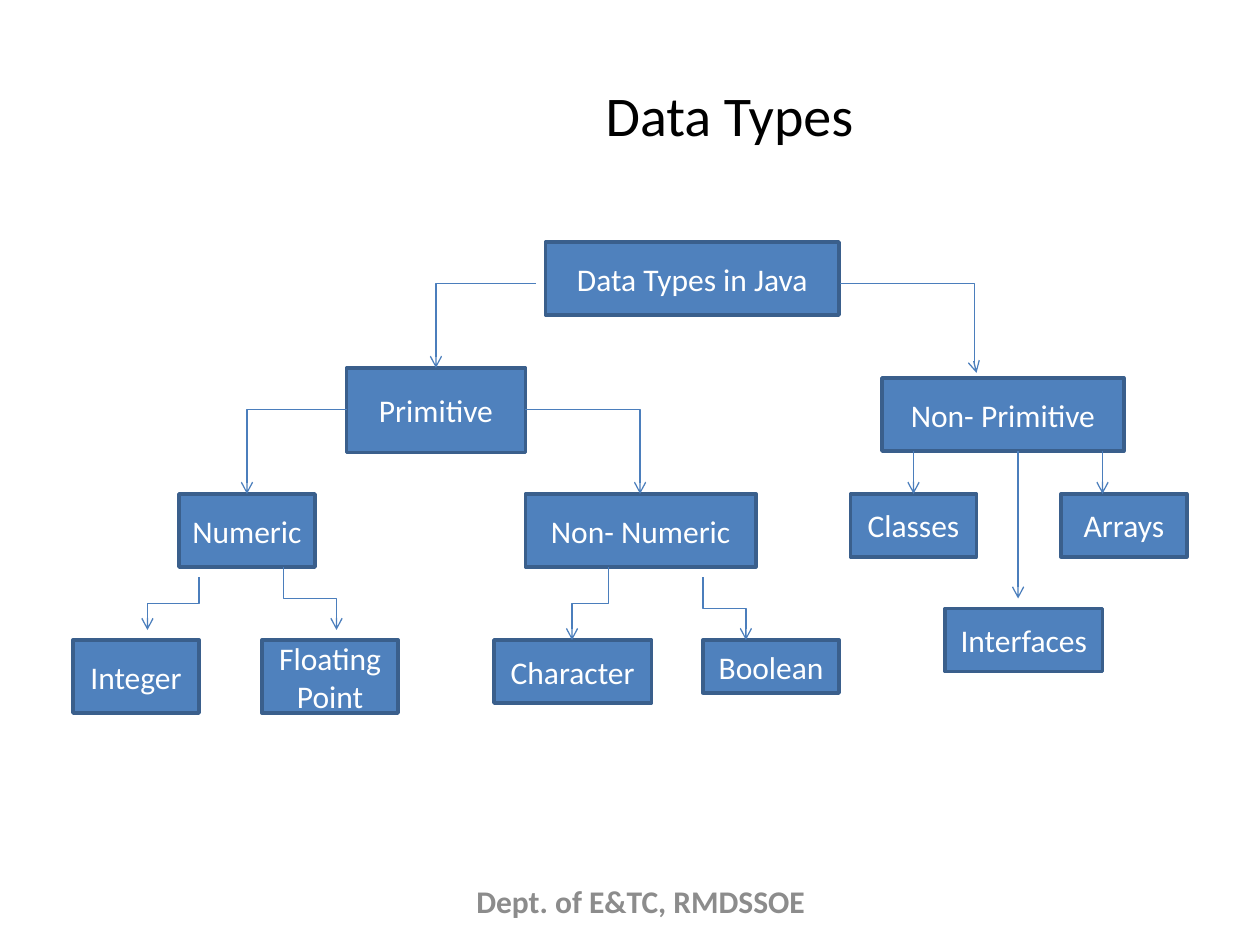
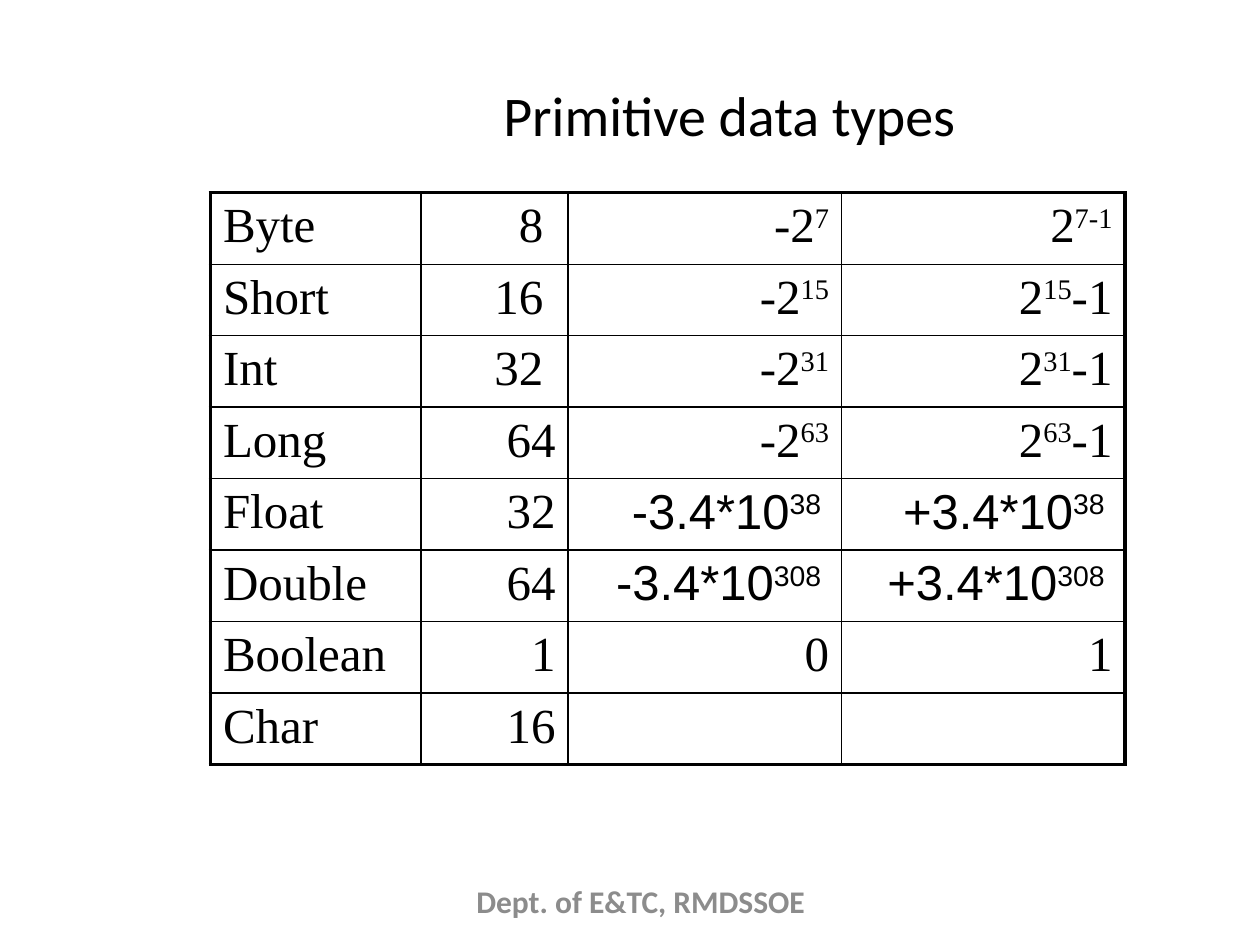
from lxml.etree import SubElement
from pptx import Presentation
from pptx.dml.color import RGBColor
from pptx.enum.shapes import MSO_CONNECTOR, MSO_SHAPE
from pptx.enum.text import MSO_ANCHOR, PP_ALIGN
from pptx.oxml.ns import qn
from pptx.util import Inches, Pt

COLORS = {
    "ink": "000000",
    "node": "4F81BD",
    "node_line": "3A5F8C",
    "arrow": "4B7EBC",
    "node_text": "FFFFFF",
    "footer": "8C8C8C",
}
TITLE_BOX = (2.09, 0.28, 7.4, 1.25)
FOOTER_BOX = (0.42, 6.95, 9.33, 0.4)
FOOTER = "Dept. of E&TC, RMDSSOE"

# Tree nodes: label and left, top, width, height within the diagram
NODES = [
    ("Data Types in Java", 3.75, 0, 2.33, 0.58),
    ("Primitive", 2.17, 1, 1.42, 0.67),
    ("Non- Primitive", 6.42, 1.08, 1.92, 0.58),
    ("Numeric", 0.84, 2, 1.08, 0.58),
    ("Non- Numeric", 3.59, 2, 1.83, 0.58),
    ("Integer", 0, 3.16, 1, 0.58),
    ("Floating Point", 1.5, 3.16, 1.08, 0.58),
    ("Character", 3.34, 3.16, 1.25, 0.5),
    ("Boolean", 5, 3.16, 1.08, 0.42),
    ("Classes", 6.17, 2, 1, 0.5),
    ("Arrays", 7.84, 2, 1, 0.5),
    ("Interfaces", 6.92, 2.91, 1.25, 0.5),
]
# Arrows: route and start x, start y, end x, end y within the diagram
ARROWS = [
    ("corner", 3.67, 0.33, 2.88, 1),
    ("side", 6.09, 0.33, 7.17, 1.04),
    ("corner", 2.17, 1.33, 1.38, 2),
    ("corner", 3.59, 1.33, 4.5, 2),
    ("step", 1, 2.66, 0.59, 3.08),
    ("step", 1.67, 2.58, 2.09, 3.08),
    ("step", 4.25, 2.58, 3.96, 3.16),
    ("step", 5, 2.66, 5.34, 3.16),
    ("straight", 6.67, 1.66, 6.67, 2),
    ("straight", 8.17, 1.66, 8.17, 2),
    ("straight", 7.5, 1.66, 7.5, 2.83),
]
BEND = {"corner": None, "side": 98300, "step": 50000}

# Type, bits, minimum, maximum; carets enclose superscripts
TYPES = [
    ("Byte", "8 ", "-2^7^", "2^7-1^"),
    ("Short", "16 ", "-2^15^", "2^15^-1"),
    ("Int", "32 ", "-2^31^", "2^31^-1"),
    ("Long", "64", "-2^63^", "2^63^-1"),
    ("Float", "32", "-3.4*10^38 ^", "+3.4*10^38 ^"),
    ("Double", "64", "-3.4*10^308 ^", "+3.4*10^308 ^"),
    ("Boolean", "1", "0", "1"),
    ("Char", "16", "", ""),
]
COLUMN_WIDTHS = (1.67, 1.17, 2.17, 2.25)


def color(name):
    return RGBColor.from_string(COLORS[name])


def write_text(frame, text, size=18, font="Calibri", ink="ink", bold=False,
               align=PP_ALIGN.CENTER):
    frame.word_wrap = True
    para = frame.paragraphs[0]
    para.alignment = align
    for index, part in enumerate(text.split("^")):
        if not part:
            continue
        span = para.add_run()
        span.text = part
        span.font.size = Pt(size)
        span.font.name = font
        span.font.bold = bold
        span.font.color.rgb = color(ink)
        if index % 2:
            span.font._element.set("baseline", "30000")


def add_page(deck, title):
    """Add a page with the shared title and footer."""
    page = deck.slides.add_slide(deck.slide_layouts[5])
    heading = page.shapes.title
    heading.left, heading.top, heading.width, heading.height = map(Inches, TITLE_BOX)
    heading.text_frame.vertical_anchor = MSO_ANCHOR.MIDDLE
    write_text(heading.text_frame, title, size=32)
    footer = page.shapes.add_textbox(*map(Inches, FOOTER_BOX))
    footer.text_frame.vertical_anchor = MSO_ANCHOR.MIDDLE
    write_text(footer.text_frame, FOOTER, ink="footer", bold=True)
    return page


def add_node(page, label, *box):
    node = page.shapes.add_shape(MSO_SHAPE.RECTANGLE, *map(Inches, box))
    node.shadow.inherit = False
    node.fill.solid()
    node.fill.fore_color.rgb = color("node")
    node.line.color.rgb = color("node_line")
    node.line.width = Pt(2)
    node.text_frame.vertical_anchor = MSO_ANCHOR.MIDDLE
    write_text(node.text_frame, label, ink="node_text")


def add_arrow(page, route, x1, y1, x2, y2):
    left, top, width, height = min(x1, x2), y1, abs(x2 - x1), y2 - y1
    if route == "step":  # a quarter turn swaps the sides about the centre
        left += (width - height) / 2
        top += (height - width) / 2
        width, height = height, width
    kind = MSO_CONNECTOR.STRAIGHT if route == "straight" else MSO_CONNECTOR.ELBOW
    arrow = page.shapes.add_connector(
        kind, *map(Inches, (left, top, left + width, top + height)))
    properties = arrow._element.spPr
    if route != "straight":
        turn_elbow(properties, route, backwards=x2 < x1)
    arrow.line.color.rgb = color("arrow")
    arrow.line.width = Pt(0.75)
    SubElement(arrow.line._get_or_add_ln(), qn("a:tailEnd"), type="arrow")
    SubElement(properties, qn("a:effectLst"))


def turn_elbow(properties, route, backwards):
    """Choose the bend of an elbow and point it the right way."""
    frame = properties.find(qn("a:xfrm"))
    geometry = properties.find(qn("a:prstGeom"))
    if route == "corner":
        geometry.set("prst", "bentConnector2")
        if backwards:
            frame.set("rot", str(180 * 60000))
            frame.set("flipV", "1")
        return
    SubElement(geometry.find(qn("a:avLst")), qn("a:gd"),
               name="adj1", fmla=f"val {BEND[route]}")
    if route == "step":
        frame.set("rot", str((90 if backwards else 270) * 60000))
        if not backwards:
            frame.set("flipH", "1")


def add_type_tree(page, left, top):
    for label, x, y, width, height in NODES:
        add_node(page, label, left + x, top + y, width, height)
    for route, x1, y1, x2, y2 in ARROWS:
        add_arrow(page, route, left + x1, top + y1, left + x2, top + y2)


def add_border(cell, side, width):
    line = SubElement(cell._tc.get_or_add_tcPr(), qn(f"a:ln{side}"), w=str(Pt(width)))
    fill = SubElement(line, qn("a:solidFill"))
    SubElement(fill, qn("a:srgbClr"), val=COLORS["ink"])


def add_type_table(page, left, top, width, height):
    rows, columns = len(TYPES), len(COLUMN_WIDTHS)
    table = page.shapes.add_table(
        rows, columns, *map(Inches, (left, top, width, height))).table
    table.first_row = table.horz_banding = False
    for column, column_width in zip(table.columns, COLUMN_WIDTHS):
        column.width = Inches(column_width)
    for r, values in enumerate(TYPES):
        for c, value in enumerate(values):
            cell = table.cell(r, c)
            # Heavy frame around the table, thin rules inside
            outer = {"L": c == 0, "R": c == columns - 1,
                     "T": r == 0, "B": r == rows - 1}
            for side, heavy in outer.items():
                add_border(cell, side, 2.25 if heavy else 1)
            cell.fill.background()
            write_text(cell.text_frame, value, size=28,
                       font="Arial" if "*" in value else "Times New Roman",
                       align=PP_ALIGN.RIGHT if c else PP_ALIGN.LEFT)


def main():
    deck = Presentation()
    deck.slide_width, deck.slide_height = Inches(10), Inches(7.5)
    add_type_tree(add_page(deck, "Data Types"), 0.58, 1.92)
    add_type_table(add_page(deck, "Primitive data types"), 1.67, 1.53, 7.25, 4.53)
    deck.save("out.pptx")


if __name__ == "__main__":
    main()
